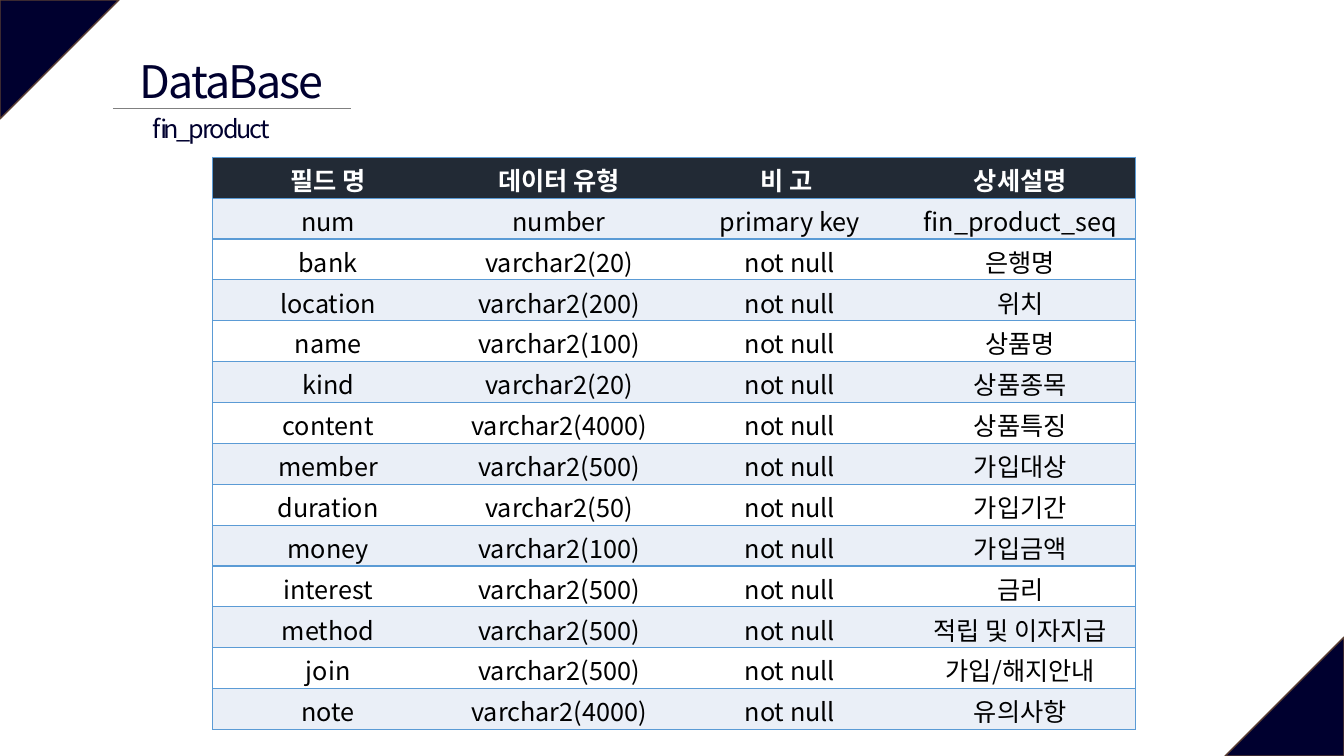
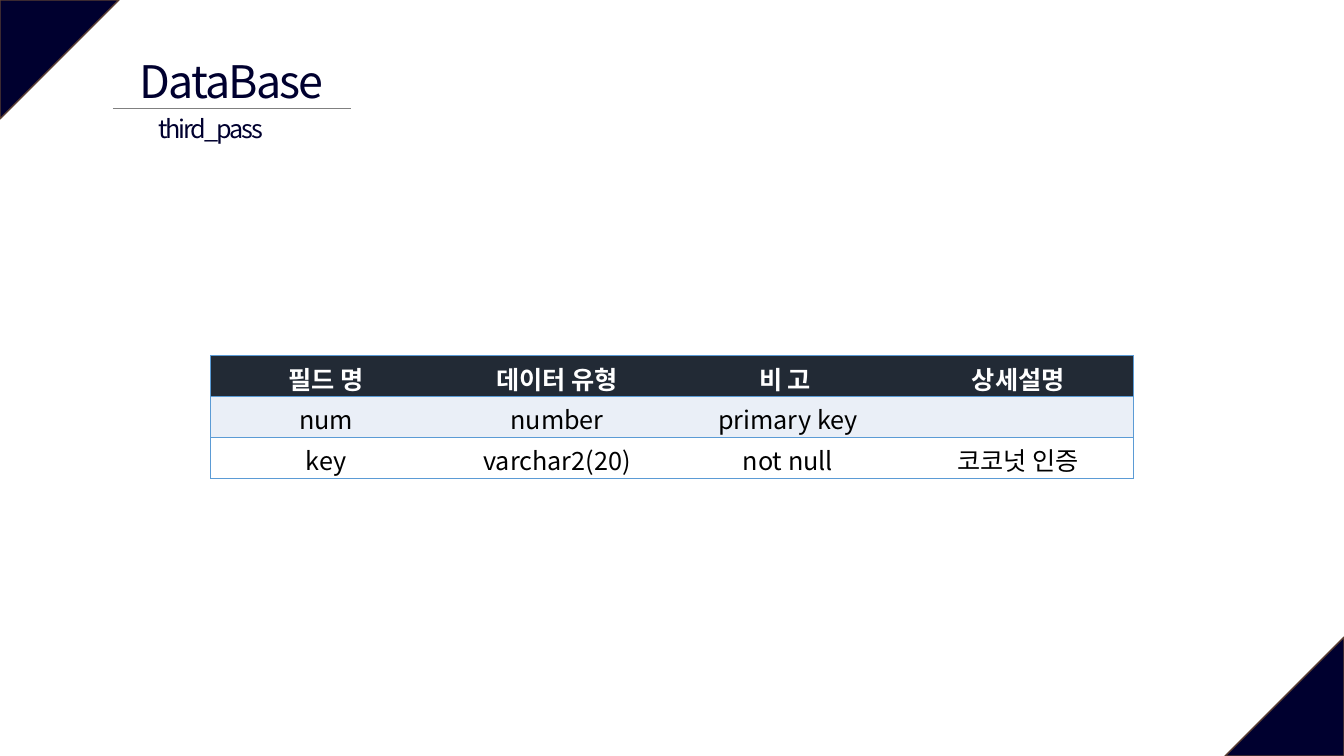
from lxml.etree import SubElement
from pptx import Presentation
from pptx.dml.color import RGBColor
from pptx.enum.shapes import MSO_CONNECTOR, MSO_SHAPE
from pptx.enum.text import MSO_ANCHOR, MSO_AUTO_SIZE, PP_ALIGN
from pptx.oxml.ns import qn
from pptx.util import Inches, Pt

COLORS = {
    "navy": "00002F",
    "corner_edge": "5B3F33",
    "rule": "808080",
    "border": "5B9BD5",
    "header": "222A35",
    "band": "EAEFF7",
    "white": "FFFFFF",
    "black": "000000",
}
FONT = "Noto Sans CJK KR"
PAGE_WIDTH, PAGE_HEIGHT = 13.33, 7.5
CORNER_SIZE = 1.18
ROW_HEIGHT = 5.68 / 14
COLUMN_WIDTHS = [2.29, 2.29, 2.29, 2.28]
HEADINGS = ("필드 명", "데이터 유형", "비 고 ", "상세설명")

PRODUCT_FIELDS = [
    ("num", "number", "primary key", "fin_product_seq"),
    ("bank", "varchar2(20)", "not null", "은행명"),
    ("location", "varchar2(200)", "not null", "위치"),
    ("name", "varchar2(100)", "not null", "상품명"),
    ("kind", "varchar2(20)", "not null", "상품종목"),
    ("content", "varchar2(4000)", "not null", "상품특징"),
    ("member", "varchar2(500)", "not null", "가입대상"),
    ("duration", "varchar2(50)", "not null", "가입기간"),
    ("money", "varchar2(100)", "not null", "가입금액"),
    ("interest", "varchar2(500)", "not null", "금리"),
    ("method", "varchar2(500)", "not null", "적립 및 이자지급"),
    ("join", "varchar2(500)", "not null", "가입/해지안내"),
    ("note", "varchar2(4000)", "not null", "유의사항"),
]
PASS_FIELDS = [
    ("num", "number", "primary key", ""),
    ("key", "varchar2(20)", "not null", "코코넛 인증"),
]


def color(name):
    return RGBColor.from_string(COLORS[name])


def add_span(para, text, size, color_name, bold=False, spacing=None):
    para.alignment = PP_ALIGN.CENTER
    span = para.add_run()
    span.text = text
    span.font.size = Pt(size)
    span.font.bold = bold
    span.font.name = FONT
    span.font.color.rgb = color(color_name)
    properties = span.font._element
    SubElement(properties, qn("a:ea")).set("typeface", FONT)
    if spacing is not None:
        properties.set("spc", str(round(spacing * 100)))


def add_corner(page, left, top, rotation):
    corner = page.shapes.add_shape(
        MSO_SHAPE.ISOSCELES_TRIANGLE,
        Inches(left), Inches(top), Inches(CORNER_SIZE), Inches(CORNER_SIZE))
    corner.adjustments[0] = 0
    corner.rotation = rotation
    corner.shadow.inherit = False
    corner.fill.solid()
    corner.fill.fore_color.rgb = color("navy")
    corner.line.color.rgb = color("corner_edge")
    corner.line.width = Pt(1)


def add_label(page, left, top, width, height, text, size, spacing):
    box = page.shapes.add_textbox(
        Inches(left), Inches(top), Inches(width), Inches(height))
    box.text_frame.word_wrap = False
    box.text_frame.auto_size = MSO_AUTO_SIZE.SHAPE_TO_FIT_TEXT
    add_span(box.text_frame.paragraphs[0], text, size, "navy", spacing=spacing)


def add_heading(page, left, top, subtitle, subtitle_left, subtitle_width):
    rule_top = top + 0.6
    rule = page.shapes.add_connector(
        MSO_CONNECTOR.STRAIGHT,
        Inches(left), Inches(rule_top), Inches(left + 2.36), Inches(rule_top))
    rule.line.color.rgb = color("rule")
    rule.line.width = Pt(0.5)
    SubElement(rule._element.spPr, qn("a:effectLst"))
    add_label(page, left + 0.03, top, 2.29, 0.62, "DataBase", 32, -1.3)
    add_label(page, left + subtitle_left, rule_top, subtitle_width, 0.4,
              subtitle, 18, -1.5)


def set_borders(cell, visible_sides):
    properties = cell._tc.get_or_add_tcPr()
    for side in "LRTB":
        line = SubElement(properties, qn(f"a:ln{side}"))
        if side in visible_sides:
            line.set("w", str(Pt(1)))
            fill = SubElement(line, qn("a:solidFill"))
            SubElement(fill, qn("a:srgbClr")).set("val", COLORS["border"])
        else:
            line.set("w", "0")
            SubElement(line, qn("a:noFill"))


def add_field_table(page, left, top, fields):
    rows = [HEADINGS, *fields]
    table = page.shapes.add_table(
        len(rows), len(HEADINGS), Inches(left), Inches(top),
        Inches(sum(COLUMN_WIDTHS)), Inches(ROW_HEIGHT * len(rows))).table
    table.horz_banding = False
    table.first_row = False
    for column, width in zip(table.columns, COLUMN_WIDTHS):
        column.width = Inches(width)
    last_column = len(HEADINGS) - 1
    for row_index, texts in enumerate(rows):
        table.rows[row_index].height = Inches(ROW_HEIGHT)
        is_header = row_index == 0
        fill_name = "header" if is_header else "band" if row_index % 2 else "white"
        for column_index, text in enumerate(texts):
            cell = table.cell(row_index, column_index)
            cell.margin_top, cell.margin_bottom = Inches(0.04), 0
            cell.vertical_anchor = MSO_ANCHOR.TOP
            sides = "TB" + {0: "L", last_column: "R"}.get(column_index, "")
            set_borders(cell, sides)
            cell.fill.solid()
            cell.fill.fore_color.rgb = color(fill_name)
            if text:
                add_span(cell.text_frame.paragraphs[0], text, 18,
                         "white" if is_header else "black", bold=is_header)


def add_table_page(deck, subtitle, subtitle_left, subtitle_width,
                   table_left, table_top, fields):
    page = deck.slides.add_slide(deck.slide_layouts[6])
    add_corner(page, 0, 0, 90)
    add_corner(page, PAGE_WIDTH - CORNER_SIZE, PAGE_HEIGHT - CORNER_SIZE, 270)
    add_heading(page, 1.12, 0.48, subtitle, subtitle_left, subtitle_width)
    add_field_table(page, table_left, table_top, fields)


def main():
    deck = Presentation()
    deck.slide_width = Inches(PAGE_WIDTH)
    deck.slide_height = Inches(PAGE_HEIGHT)
    add_table_page(deck, "fin_product", 0.2, 1.55, 2.11, 1.56, PRODUCT_FIELDS)
    add_table_page(deck, "third_pass", 0.25, 1.44, 2.09, 3.53, PASS_FIELDS)
    deck.save("out.pptx")


if __name__ == "__main__":
    main()
